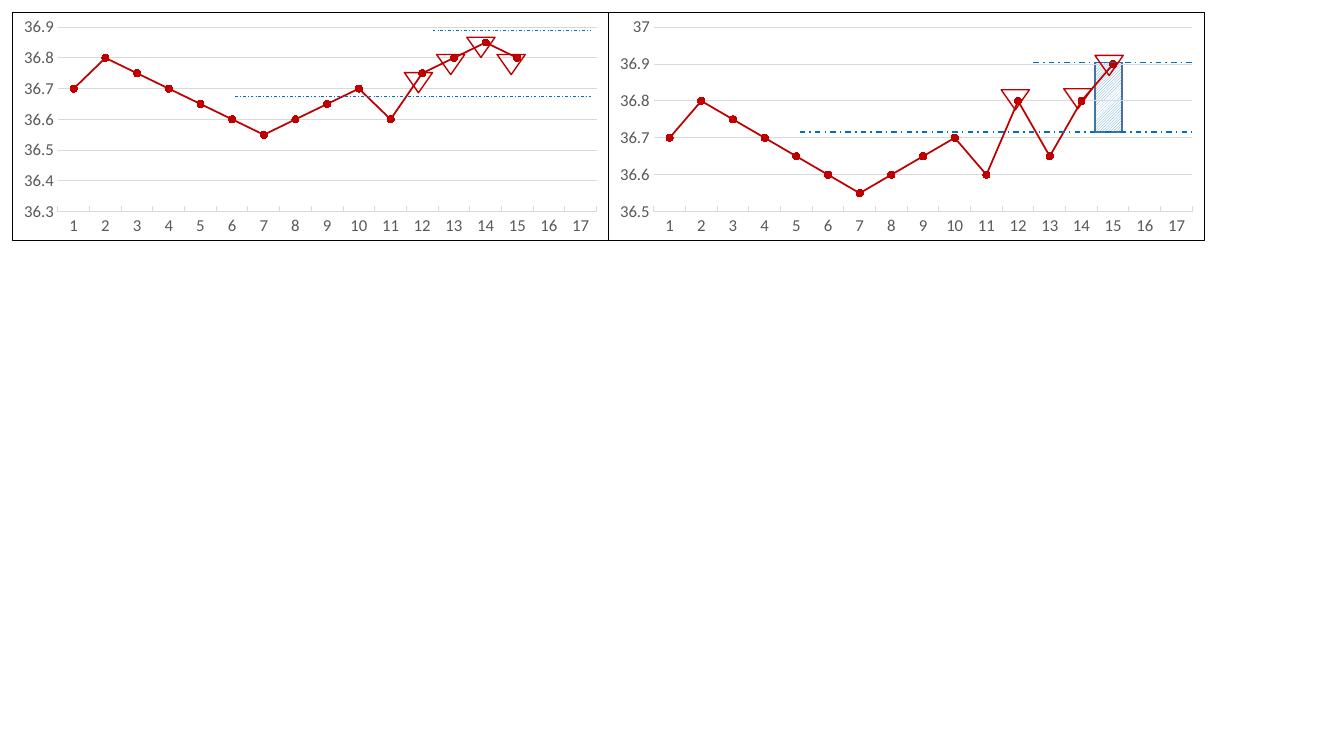
from lxml import etree
from pptx import Presentation
from pptx.chart.data import CategoryChartData
from pptx.dml.color import RGBColor
from pptx.enum import chart as ch, dml, shapes
from pptx.oxml import parse_xml
from pptx.oxml.ns import nsdecls, qn
from pptx.util import Inches, Pt

RED, BLUE, GRID, GREY = "C00000", "0070C0", "D9D9D9", "595959"
DAYS = range(1, 18)
START = [36.7, 36.8, 36.75, 36.7, 36.65, 36.6, 36.55, 36.6, 36.65, 36.7, 36.6]
CHART_TOP, CHART_W, CHART_H = 0.12, 5.92, 2.27
# left edge, axis minimum, axis maximum, temperatures
CHARTS = [
    (0.12, 36.3, 36.9, START + [36.75, 36.8, 36.85, 36.8]),
    (6.03, 36.5, 37, START + [36.8, 36.65, 36.8, 36.9]),
]
PLOT = {"x": 0.076, "y": 0.064, "w": 0.904, "h": 0.81}
# start, end, height on the slide, width in points
THRESHOLDS = [(2.33, 5.86, 0.96, 0.5), (4.29, 5.86, 0.3, 0.5),
              (7.93, 11.82, 1.31, 1), (10.25, 11.82, 0.62, 1)]
HIGH_MARKS = [(4.01, 0.72), (4.33, 0.54), (4.63, 0.37), (4.93, 0.54),
              (9.93, 0.89), (10.55, 0.88), (10.86, 0.55)]
RISE_BAR = (10.86, 0.62, 0.27, 0.69)


def rgb(code):
    """Turn a hex string into a colour."""
    return RGBColor.from_string(code)


def style_line(line, code, width):
    """Set a line's colour and width in points."""
    line.color.rgb = rgb(code)
    line.width = Pt(width)


def add_outlined(kind, box, code):
    """Add an unshadowed preset shape with a 1 pt outline."""
    sp = slide.shapes.add_shape(kind, *map(Inches, box))
    sp.shadow.inherit = False
    style_line(sp.line, code, 1)
    return sp


def frame_chart(chart):
    """Give the chart a black border, no fill and a fixed plot area."""
    space = chart.element
    space.find(qn("c:chart")).addnext(parse_xml(
        f'<c:spPr {nsdecls("c", "a")}><a:noFill/><a:ln w="9525"><a:solidFill>'
        '<a:srgbClr val="000000"/></a:solidFill></a:ln></c:spPr>'))
    plot_area = space.find(".//" + qn("c:plotArea"))
    old = plot_area.find(qn("c:layout"))
    if old is not None:
        plot_area.remove(old)
    parts = ['<c:layoutTarget val="inner"/>']
    parts += [f'<c:{k}Mode val="edge"/>' for k in "xy"]
    parts += [f'<c:{k} val="{v}"/>' for k, v in PLOT.items()]
    plot_area.insert(0, parse_xml(
        f'<c:layout {nsdecls("c")}><c:manualLayout>{"".join(parts)}'
        '</c:manualLayout></c:layout>'))


def add_temperature_chart(left, low, high, temps):
    """Add one line chart of daily temperatures."""
    data = CategoryChartData()
    data.categories = [str(day) for day in DAYS]
    data.add_series("Series 1", temps + [None] * (len(DAYS) - len(temps)))
    box = map(Inches, (left, CHART_TOP, CHART_W, CHART_H))
    chart = slide.shapes.add_chart(
        ch.XL_CHART_TYPE.LINE_MARKERS, *box, data).chart
    chart.has_legend = chart.has_title = False
    chart.font.size, chart.font.name = Pt(10), "Calibri"
    frame_chart(chart)

    days, values = chart.category_axis, chart.value_axis
    for axis in (days, values):
        font = axis.tick_labels.font
        font.size, font.name, font.color.rgb = Pt(12), "Calibri", rgb(GREY)
    days.major_tick_mark = ch.XL_TICK_MARK.INSIDE
    style_line(days.format.line, GRID, 0.75)
    values.major_tick_mark = ch.XL_TICK_MARK.NONE
    values.format.line.fill.background()
    values.minimum_scale, values.maximum_scale = low, high
    values.major_unit = 0.1
    style_line(values.major_gridlines.format.line, GRID, 0.75)

    chart.plots[0].vary_by_categories = False
    series = chart.plots[0].series[0]
    series.smooth = False
    style_line(series.format.line, RED, 1.25)
    marker = series.marker
    marker.style, marker.size = ch.XL_MARKER_STYLE.CIRCLE, 5
    marker.format.fill.solid()
    marker.format.fill.fore_color.rgb = rgb(RED)
    style_line(marker.format.line, RED, 0.75)


def add_threshold(start, end, y, width):
    """Add a horizontal dash-dot line."""
    line = slide.shapes.add_connector(
        shapes.MSO_CONNECTOR.STRAIGHT, *map(Inches, (start, y, end, y)))
    style_line(line.line, BLUE, width)
    line.line.dash_style = dml.MSO_LINE.DASH_DOT
    etree.SubElement(line.element.spPr, qn("a:effectLst"))


prs = Presentation()
prs.slide_width, prs.slide_height = Inches(13.33), Inches(7.5)
slide = prs.slides.add_slide(prs.slide_layouts[6])

bar = add_outlined(shapes.MSO_SHAPE.RECTANGLE, RISE_BAR, "43739E")
bar.fill.patterned()
bar.fill.pattern = dml.MSO_PATTERN.DARK_UPWARD_DIAGONAL
bar.fill.fore_color.rgb, bar.fill.back_color.rgb = rgb("5B9BD5"), rgb("FFFFFF")

for spec_row in CHARTS:
    add_temperature_chart(*spec_row)
for threshold in THRESHOLDS:
    add_threshold(*threshold)
for x, y in HIGH_MARKS:
    mark = add_outlined(shapes.MSO_SHAPE.ISOSCELES_TRIANGLE, (x, y, 0.28, 0.2), RED)
    mark.rotation = 180
    mark.fill.background()

prs.save("out.pptx")
